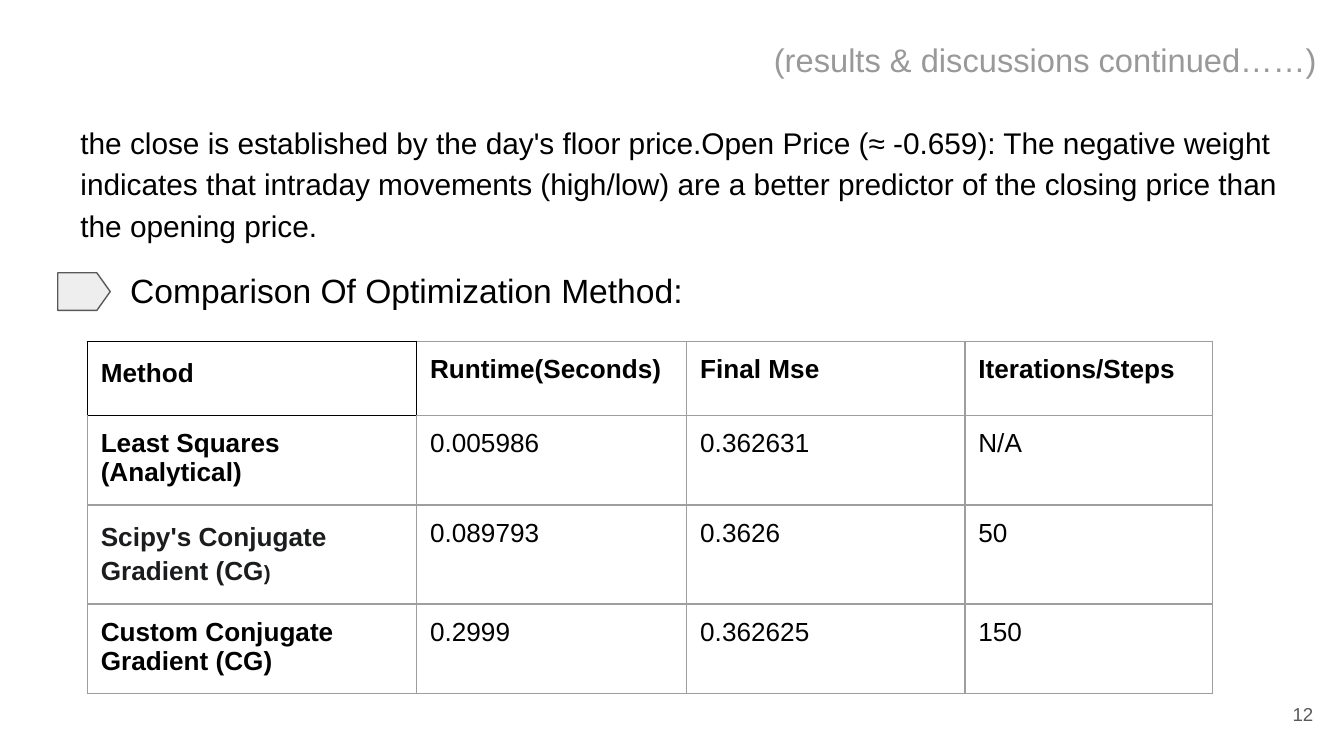
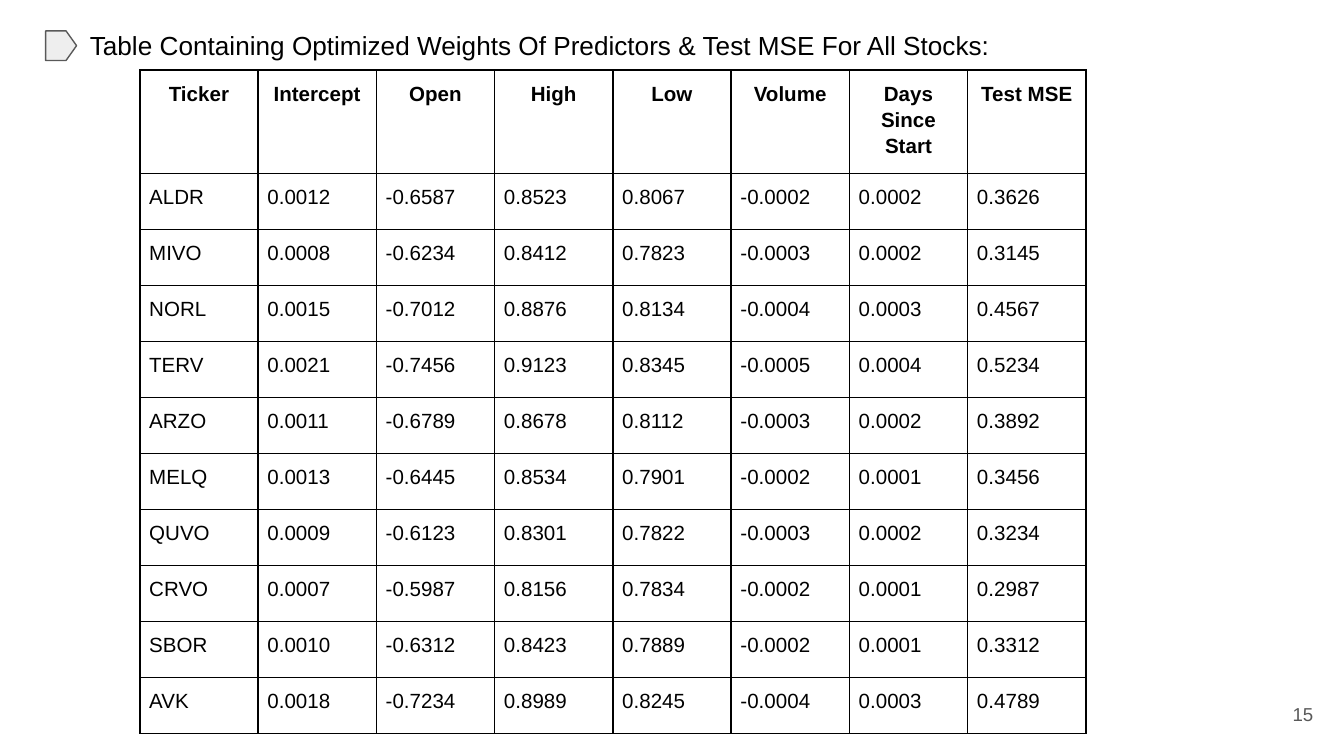
from lxml.etree import SubElement
from pptx import Presentation
from pptx.dml.color import RGBColor
from pptx.enum.shapes import MSO_SHAPE
from pptx.enum.text import MSO_ANCHOR, PP_ALIGN
from pptx.oxml.ns import qn
from pptx.util import Inches, Pt

BLACK = RGBColor(0x00, 0x00, 0x00)
INK = RGBColor(0x1B, 0x1C, 0x1D)
MUTED = RGBColor(0x99, 0x99, 0x99)
GRID = RGBColor(0x9E, 0x9E, 0x9E)
SLATE = RGBColor(0x59, 0x59, 0x59)
PALE = RGBColor(0xEE, 0xEE, 0xEE)
FONT = "Arial"
SIDES = ("L", "R", "T", "B")

METHODS = [
    ("Method", "Runtime(Seconds)", "Final Mse", "Iterations/Steps"),
    ("Least Squares (Analytical)", "0.005986", "0.362631", "N/A"),
    ("Scipy's Conjugate Gradient (CG", "0.089793", "0.3626", "50"),
    ("Custom Conjugate Gradient (CG)", "0.2999", "0.362625", "150"),
]
WEIGHTS = [
    ("Ticker", "Intercept", "Open", "High", "Low", "Volume", "Days Since Start", "Test MSE"),
    ("ALDR", "0.0012", "-0.6587", "0.8523", "0.8067", "-0.0002", "0.0002", "0.3626"),
    ("MIVO", "0.0008", "-0.6234", "0.8412", "0.7823", "-0.0003", "0.0002", "0.3145"),
    ("NORL", "0.0015", "-0.7012", "0.8876", "0.8134", "-0.0004", "0.0003", "0.4567"),
    ("TERV", "0.0021", "-0.7456", "0.9123", "0.8345", "-0.0005", "0.0004", "0.5234"),
    ("ARZO", "0.0011", "-0.6789", "0.8678", "0.8112", "-0.0003", "0.0002", "0.3892"),
    ("MELQ", "0.0013", "-0.6445", "0.8534", "0.7901", "-0.0002", "0.0001", "0.3456"),
    ("QUVO", "0.0009", "-0.6123", "0.8301", "0.7822", "-0.0003", "0.0002", "0.3234"),
    ("CRVO", "0.0007", "-0.5987", "0.8156", "0.7834", "-0.0002", "0.0001", "0.2987"),
    ("SBOR", "0.0010", "-0.6312", "0.8423", "0.7889", "-0.0002", "0.0001", "0.3312"),
    ("AVK", "0.0018", "-0.7234", "0.8989", "0.8245", "-0.0004", "0.0003", "0.4789"),
]


class Deck:
    """Holds the shared style and the slide being filled."""

    def __init__(self):
        self.presentation = Presentation()
        self.presentation.slide_width = Inches(10)
        self.presentation.slide_height = Inches(10 * 9 / 16)
        self.slide = None

    def new_slide(self, number):
        self.slide = self.presentation.slides.add_slide(self.presentation.slide_layouts[6])
        self.text(str(number), (9.27, 5.1, 0.6, 0.43), 10, SLATE,
                  align=PP_ALIGN.RIGHT, anchor=MSO_ANCHOR.MIDDLE)

    def style(self, paragraph, size, color, bold=False, spacing=1.0, align=PP_ALIGN.LEFT):
        paragraph.alignment = align
        paragraph.line_spacing = spacing
        font = paragraph.font
        font.name, font.size, font.bold = FONT, Pt(size), bold
        font.color.rgb = color
        paragraph._p.get_or_add_endParaRPr().set("sz", str(int(size * 100)))

    def text(self, content, box, size, color=BLACK, spacing=1.0,
             align=PP_ALIGN.LEFT, anchor=MSO_ANCHOR.TOP):
        frame = self.slide.shapes.add_textbox(*map(Inches, box)).text_frame
        frame.word_wrap = True
        frame.vertical_anchor = anchor
        frame.margin_left = frame.margin_right = Inches(0.1)
        frame.margin_top = frame.margin_bottom = Inches(0.1)
        frame.text = content
        self.style(frame.paragraphs[0], size, color, spacing=spacing, align=align)

    def heading(self, content, box, size, marker_box):
        self.text(content, box, size)
        marker = self.slide.shapes.add_shape(MSO_SHAPE.PENTAGON, *map(Inches, marker_box))
        marker.adjustments[0] = 0.355
        marker.shadow.inherit = False
        marker.fill.solid()
        marker.fill.fore_color.rgb = PALE
        marker.line.color.rgb = SLATE
        marker.line.width = Pt(0.75)

    def border(self, cell, color, width, sides=SIDES):
        properties = cell._tc.get_or_add_tcPr()
        for index, side in enumerate(SIDES):
            if side not in sides:
                continue
            tag = qn(f"a:ln{side}")
            for previous in properties.findall(tag):
                properties.remove(previous)
            edge = SubElement(properties, tag, w=str(Pt(width)))
            fill = SubElement(edge, qn("a:solidFill"))
            SubElement(fill, qn("a:srgbClr"), val=str(color))
            properties.insert(index, edge)

    def table(self, rows, left, top, widths, heights, size, inset, grid, line_width,
              spacing=1.0, header_align=PP_ALIGN.LEFT, bold_first_column=False):
        table = self.slide.shapes.add_table(
            len(rows), len(widths), Inches(left), Inches(top),
            Inches(sum(widths)), Inches(sum(heights))).table
        table.first_row = table.horz_banding = False
        for column, width in zip(table.columns, widths):
            column.width = Inches(width)
        for r, (values, height) in enumerate(zip(rows, heights)):
            table.rows[r].height = Inches(height)
            for c, value in enumerate(values):
                cell = table.cell(r, c)
                cell.margin_left = cell.margin_right = Inches(inset)
                cell.margin_top = cell.margin_bottom = Inches(inset)
                cell.text = value
                self.style(cell.text_frame.paragraphs[0], size, BLACK,
                           bold=r == 0 or (bold_first_column and c == 0), spacing=spacing,
                           align=header_align if r == 0 else PP_ALIGN.LEFT)
                self.border(cell, grid, line_width)
                cell.fill.background()
        return table


def build_comparison(deck):
    deck.new_slide(12)
    deck.text("(results & discussions continued……)", (5.66, 0.15, 4.51, 0.52), 17.5,
              MUTED, spacing=1.15)
    deck.text("the close is established by the day's floor price.Open Price (≈ -0.659): "
              "The negative weight indicates that intraday movements (high/low) are a better "
              "predictor of the closing price than the opening price.",
              (0.5, 0.79, 9.19, 1.54), 16, spacing=1.15)
    deck.heading("Comparison Of Optimization Method:", (0.87, 1.91, 5.62, 0.63), 18,
                 (0.43, 2.03, 0.39, 0.28))
    methods = deck.table(METHODS, 0.65, 2.54, (2.45, 2.01, 2.07, 1.84),
                         (0.55, 0.42, 0.42, 0.42), 14, 0.1, GRID, 0.75,
                         bold_first_column=True)
    for row, color in ((0, BLACK), (2, INK)):
        paragraph = methods.cell(row, 0).text_frame.paragraphs[0]
        deck.style(paragraph, 14, color, bold=True, spacing=1.15)
        paragraph.space_after = Pt(24)
    closing = methods.cell(2, 0).text_frame.paragraphs[0].add_run()
    closing.text = ")"
    closing.font.size = Pt(11)
    deck.border(methods.cell(0, 0), BLACK, 0.75)
    deck.border(methods.cell(0, 1), BLACK, 0.75, sides="L")
    deck.border(methods.cell(1, 0), BLACK, 0.75, sides="T")


def build_weights(deck):
    deck.new_slide(15)
    deck.heading("Table Containing Optimized Weights Of Predictors & Test MSE For All Stocks:",
                 (0.57, 0.12, 7.24, 0.34), 14, (0.34, 0.23, 0.23, 0.22))
    deck.table(WEIGHTS, 1.04, 0.52, [0.88] * 8, [5 / 12] * len(WEIGHTS),
               11, 0.07, BLACK, 1, spacing=1.15, header_align=PP_ALIGN.CENTER)


def main():
    deck = Deck()
    build_comparison(deck)
    build_weights(deck)
    deck.presentation.save("out.pptx")


if __name__ == "__main__":
    main()
